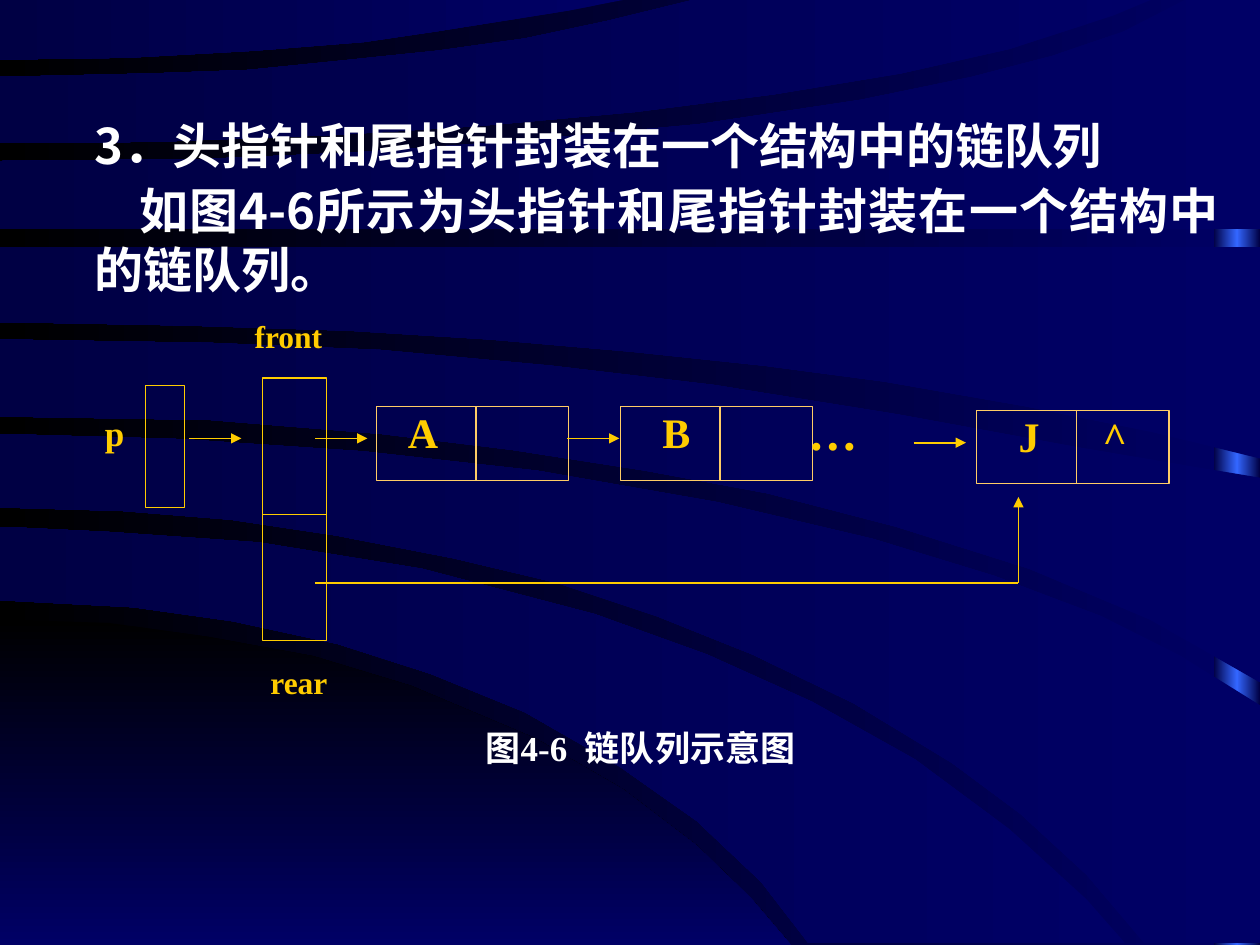
from copy import deepcopy

from lxml import etree
from pptx import Presentation
from pptx.dml.color import RGBColor
from pptx.enum.shapes import MSO_CONNECTOR, MSO_SHAPE
from pptx.enum.text import MSO_ANCHOR, PP_ALIGN
from pptx.oxml.ns import qn
from pptx.util import Pt

RECT = MSO_SHAPE.RECTANGLE
STRAIGHT = MSO_CONNECTOR.STRAIGHT
TOP = MSO_ANCHOR.TOP
LEFT, CENTER, JUSTIFY = PP_ALIGN.LEFT, PP_ALIGN.CENTER, PP_ALIGN.JUSTIFY

SERIF, SANS = "Times New Roman", "Noto Sans CJK SC"
COLORS = {
    "navy": "000066", "deep": "000044", "black": "000000", "glow": "3366FF",
    "white": "FFFFFF", "gold": "FFCC00", "pale_gold": "FFCC66",
}

CORE = [(0, 354), (62, 356), (119, 364), (179, 375), (235, 392), (306, 422),
        (356, 451), (398, 483), (429, 513), (452, 540), (0, 540)]
BANDS = [
    [(0, 301), (62, 304), (148, 310), (241, 325), (340, 351), (404, 374),
     (464, 401), (523, 434), (577, 474), (621, 514), (643, 539), (462, 539),
     (435, 504), (398, 469), (354, 438), (300, 407), (246, 385), (193, 368),
     (133, 355), (76, 347), (0, 343)],
    [(0, 248), (104, 251), (208, 258), (307, 269), (410, 287), (499, 308),
     (568, 329), (629, 352), (675, 375), (720, 403), (720, 539), (654, 539),
     (621, 500), (583, 465), (544, 436), (488, 402), (430, 374), (375, 352),
     (318, 333), (259, 319), (192, 306), (132, 297), (70, 292), (0, 290)],
    [(0, 194), (121, 196), (217, 200), (315, 209), (408, 220), (514, 237),
     (618, 256), (720, 273), (720, 390), (657, 354), (588, 325), (512, 301),
     (439, 282), (369, 269), (292, 257), (218, 248), (120, 240), (0, 238)],
    [(0, 141), (720, 141), (720, 262), (659, 247), (585, 232), (505, 218),
     (437, 209), (361, 201), (280, 194), (200, 189), (106, 186), (0, 184)],
    [(0, 92), (113, 91), (206, 87), (302, 80), (399, 71), (492, 57),
     (555, 44), (601, 32), (642, 18), (679, -1), (720, -1), (720, 131),
     (0, 131)],
    [(0, 82), (91, 81), (194, 77), (274, 72), (363, 64), (442, 54),
     (515, 42), (577, 28), (636, 9), (660, -1), (400, -1), (347, 12),
     (300, 22), (250, 29), (192, 35), (142, 40), (87, 42), (0, 44)],
    [(0, -1), (0, 34), (73, 33), (145, 29), (208, 24), (249, 18), (325, 6),
     (361, -1)],
]


def rgb(name):
    return RGBColor.from_string(COLORS[name])


def set_gradient(fill, names, angle=180):
    fill.gradient()
    fill.gradient_angle = angle
    for stop, name in zip(fill.gradient_stops, names):
        stop.color.rgb = rgb(name)


def add_band(s, points, names, angle=180):
    builder = s.shapes.build_freeform(*points[0], scale=Pt(1))
    builder.add_line_segments(points[1:], close=True)
    sp = builder.convert_to_shape()
    set_gradient(sp.fill, names, angle)
    sp.line.fill.background()
    sp.shadow.inherit = False


def add_side_bar(s):
    """Vertical bar, bright in the middle, that shows between the bands."""
    sp = s.shapes.add_shape(RECT, Pt(693.5), 0, Pt(26.5), Pt(540))
    set_gradient(sp.fill, ["deep", "glow"])
    stops = sp._element.spPr.find(".//" + qn("a:gsLst"))
    stops[1].set("pos", "50000")
    last = deepcopy(stops[0])
    last.set("pos", "100000")
    stops.append(last)
    sp.line.fill.background()
    sp.shadow.inherit = False


def add_backdrop(s):
    set_gradient(s.background.fill, ["navy", "black"])
    add_side_bar(s)
    add_band(s, CORE, ["black", "navy"], 270)
    for points in BANDS:
        add_band(s, points, ["navy", "deep"])


def fill_text(sp, lines, size, color="gold", font=SERIF, align=JUSTIFY,
              before=0, spacing=None, inset=0):
    tf = sp.text_frame
    tf.word_wrap = True
    tf.vertical_anchor = TOP
    tf.margin_left = Pt(inset)
    tf.margin_top = tf.margin_right = tf.margin_bottom = 0
    tf.text = "\n".join(lines)
    for p in tf.paragraphs:
        p.alignment = align
        p.space_before = Pt(before)
        if spacing:
            p.line_spacing = spacing
        p.font.name, p.font.size, p.font.bold = font, Pt(size), True
        p.font.color.rgb = rgb(color)
    return tf


def add_text(s, x, y, w, h, *lines, **style):
    sp = s.shapes.add_textbox(Pt(x), Pt(y), Pt(w), Pt(h))
    return fill_text(sp, lines, **style)


def add_box(s, x, y, w, h, color="gold"):
    sp = s.shapes.add_shape(RECT, Pt(x), Pt(y), Pt(w), Pt(h))
    sp.fill.background()
    sp.line.color.rgb = rgb(color)
    sp.line.width = Pt(0.75)
    sp.shadow.inherit = False
    return sp


def add_line(s, x1, y1, x2, y2, color="gold", width=1, arrow=False):
    line = s.shapes.add_connector(STRAIGHT, Pt(x1), Pt(y1), Pt(x2), Pt(y2))
    line.line.color.rgb = rgb(color)
    line.line.width = Pt(width)
    if arrow:
        ln = line.line._get_or_add_ln()
        etree.SubElement(ln, qn("a:tailEnd"), type="triangle")
    etree.SubElement(line._element.spPr, qn("a:effectLst"))


def add_node(s, x, y, text, inset):
    """List node: a data cell and a pointer cell."""
    sp = add_box(s, x, y, 110, 42, "pale_gold")
    tf = fill_text(sp, [text], size=24, align=LEFT, inset=inset)
    add_line(s, x + 57, y, x + 57, y + 42, "pale_gold", 0.75)
    return tf


def add_tab_stop(p, pos):
    pPr = p._p.get_or_add_pPr()
    tabs = etree.Element(qn("a:tabLst"))
    etree.SubElement(tabs, qn("a:tab"), pos=str(Pt(pos)), algn="l")
    pPr.find(qn("a:defRPr")).addprevious(tabs)


def add_diagram(s):
    label = dict(size=18, before=11.2, spacing=1.05)
    add_text(s, 132, 180, 65, 23, "front", inset=13.5, **label)
    add_text(s, 132, 378, 65, 23, "rear", inset=22.5, **label)
    add_box(s, 150, 216, 36.5, 150)
    add_line(s, 150, 294, 186.5, 294, width=0.75)
    add_box(s, 83, 220.5, 22.5, 69.5)
    add_text(s, 60, 235, 17, 58, "p", size=20)

    add_node(s, 215, 232.5, "A", 18)
    add_node(s, 354.5, 232.5, "B", 24)
    last = add_node(s, 558, 234.5, "J\t^", 24)
    add_tab_stop(last.paragraphs[0], 48)
    add_text(s, 462, 228, 60, 35, "…", size=28, before=17.5, spacing=1.05)

    for x, y in [(108, 250.5), (180, 250.5), (324, 250.5), (522, 253)]:
        add_line(s, x, y, x + 30, y, arrow=True)
    add_line(s, 180, 333, 582, 333)
    add_line(s, 582, 333, 582, 284, arrow=True)


def main():
    prs = Presentation()
    prs.slide_width, prs.slide_height = Pt(720), Pt(540)
    s = prs.slides.add_slide(prs.slide_layouts[6])
    add_backdrop(s)
    body = add_text(s, 54, 66, 642.5, 104,
                    "3．头指针和尾指针封装在一个结构中的链队列",
                    "如图4-6所示为头指针和尾指针封装在一个结构中的链队列。",
                    size=28, color="white", font=SANS, before=3.5)
    body.paragraphs[1]._p.get_or_add_pPr().set("indent", str(Pt(25.5)))
    add_text(s, 240, 414, 252, 25, "图4-6  链队列示意图", size=20,
             color="white", align=CENTER, before=12.5, spacing=1.05)
    add_diagram(s)
    prs.save("out.pptx")


if __name__ == "__main__":
    main()
